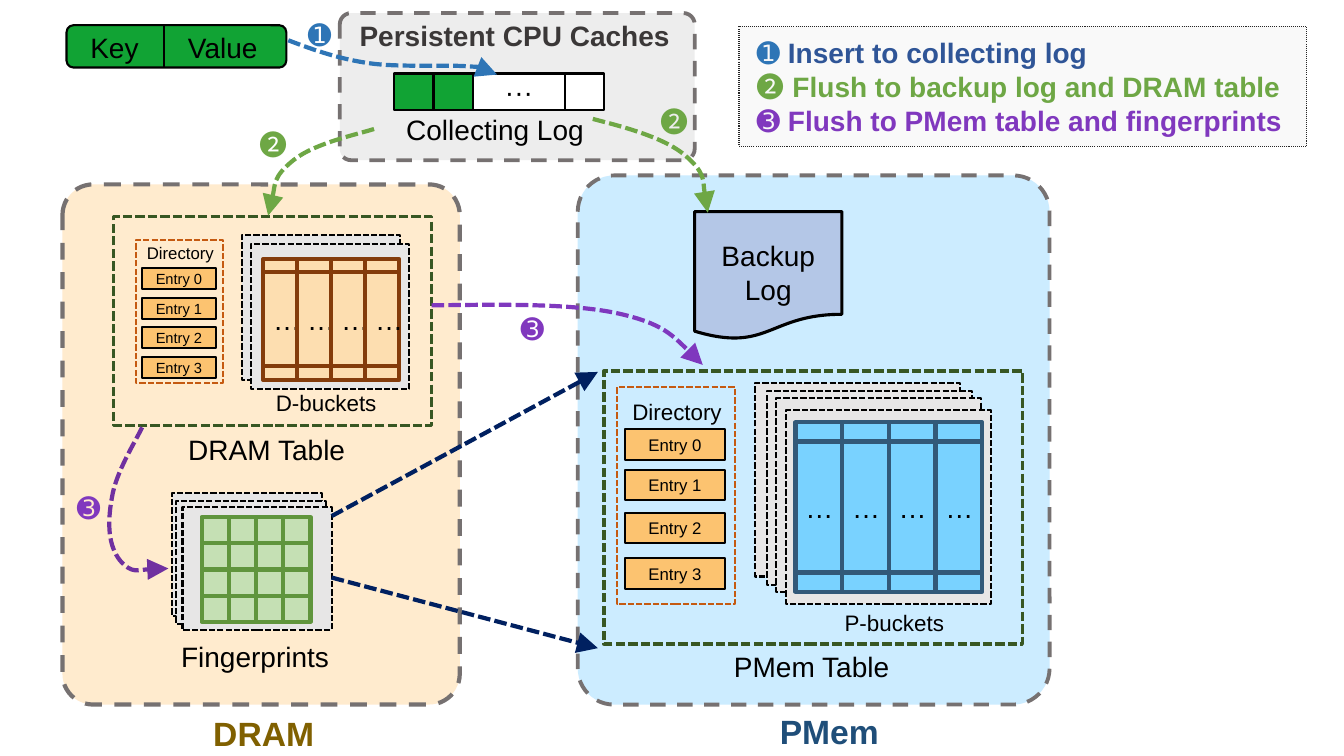
from lxml.etree import SubElement
from pptx import Presentation
from pptx.dml.color import RGBColor
from pptx.enum.dml import MSO_LINE
from pptx.enum.shapes import MSO_CONNECTOR, MSO_SHAPE
from pptx.enum.text import MSO_ANCHOR, PP_ALIGN
from pptx.oxml.ns import qn
from pptx.util import Inches, Pt

COLS, ROWS = 133.3, 75
DASH, SHORT, DOT = MSO_LINE.DASH, MSO_LINE.SQUARE_DOT, MSO_LINE.ROUND_DOT
BLUE, GREEN, PURPLE, NAVY = "2E75B6", "6EA745", "8038BE", "002060"
CJK = "Noto Sans CJK SC"


def u(n):
    return Inches(n / 10)


def rgb(color):
    return RGBColor.from_string(color)


def inside(box, dx, dy, w, h):
    return box[0] + dx, box[1] + dy, w, h


def outline(sp, color, width, dash=None, arrow=False):
    sp.line.color.rgb = rgb(color)
    sp.line.width = Pt(width)
    if dash:
        sp.line.dash_style = dash
    if arrow:
        SubElement(sp.line._get_or_add_ln(), qn("a:tailEnd"), type="triangle", w="lg", len="lg")


def font(r, size, color="000000", bold=False, name="Arial"):
    r.font.size = Pt(size)
    r.font.color.rgb = rgb(color)
    r.font.bold = bold
    r.font.name = name


def write(sp, text, size, wrap=False, **look):
    tf = sp.text_frame
    tf.word_wrap = wrap
    tf.text = text
    p = tf.paragraphs[0]
    p.alignment = PP_ALIGN.CENTER
    font(p.runs[0], size, **look)


def label(s, box, text, size=20, **look):
    write(s.shapes.add_textbox(*map(u, box)), text, size, **look)


def shape(s, box, fill=None, line="000000", width=1.5, dash=None, kind=MSO_SHAPE.RECTANGLE):
    sp = s.shapes.add_shape(kind, *map(u, box))
    sp.shadow.inherit = False
    if fill:
        sp.fill.solid()
        sp.fill.fore_color.rgb = rgb(fill)
    else:
        sp.fill.background()
    outline(sp, line, width, dash)
    sp.text_frame.vertical_anchor = MSO_ANCHOR.MIDDLE
    return sp


def panel(s, box, fill, width=2.75):
    sp = shape(s, box, fill, "767171", width, DASH, MSO_SHAPE.ROUNDED_RECTANGLE)
    sp.adjustments[0] = 0.077


def straight(s, start, end, color="000000", width=1.5, dash=None, arrow=False):
    cn = s.shapes.add_connector(MSO_CONNECTOR.STRAIGHT, *map(u, start + end))
    outline(cn, color, width, dash, arrow)
    SubElement(cn._element.spPr, qn("a:effectLst"))


def curve(s, color, points):
    pts = [(u(x), u(y)) for x, y in points]
    fb = s.shapes.build_freeform(*pts[0])
    fb.add_line_segments(pts[1:], close=False)
    sp = fb.convert_to_shape()
    sp.shadow.inherit = False
    sp.fill.background()
    outline(sp, color, 3, SHORT, True)
    path = next(sp._element.iter(qn("a:path")))
    segments = path.findall(qn("a:lnTo"))
    for i, segment in enumerate(segments):
        if i % 3 == 0:
            bezier = SubElement(path, qn("a:cubicBezTo"))
        bezier.append(segment[0])
        path.remove(segment)


def stack(s, box, offsets):
    for dx, dy in offsets:
        shape(s, inside(box, dx, dy, *box[2:]), "E7E6E6", dash=SHORT)


def grid(s, box, heights, fill, line, dotted_row=None):
    w, y = box[2] / 4, 0
    for row, h in enumerate(heights):
        for col in range(4):
            sp = shape(s, inside(box, col * w, y, w, h), fill, line, 3)
            if row == dotted_row:
                write(sp, "…", 20, wrap=True)
        y += h


def directory(s, box, title, size, entry_box, tops, entry_size):
    shape(s, box, None, "C55A11", dash=SHORT)
    label(s, inside(box, *title), "Directory", size)
    dx, w, h = entry_box
    for i, top in enumerate(tops):
        write(shape(s, inside(box, dx, top, w, h), "FCC370"), f"Entry {i}", entry_size)


def key_value(s, box):
    x, y, w, h = box
    shape(s, box, "11A334", kind=MSO_SHAPE.ROUNDED_RECTANGLE)
    straight(s, (x + 9.7, y), (x + 9.7, y + h))
    label(s, inside(box, 1.3, 0, 6.9, 4.4), "Key")
    label(s, inside(box, 10.8, 0, 9.4, 4.4), "Value")


def caches(s, box):
    panel(s, box, "EDEDED")
    label(s, inside(box, 0, 0, 34.7, 4.4), "Persistent CPU Caches", color="3B3838", bold=True)
    x = 5.4
    for w, fill, text in ((3.9, "11A334", ""), (3.9, "11A334", ""),
                          (9.15, "FFFFFF", "···"), (3.9, "FFFFFF", "")):
        sp = shape(s, inside(box, x, 6, w, 3.6), fill)
        if text:
            write(sp, text, 20)
        x += w
    label(s, inside(box, 5.5, 9.4, 19.8, 4.4), "Collecting Log")


def dram(s, box):
    panel(s, box, "FFEBCE", 3)
    label(s, inside(box, 13.9, 51.9, 12.1, 5), "DRAM", 24, color="806000", bold=True)
    label(s, inside(box, 10.7, 44.7, 16.8, 4.4), "Fingerprints")
    label(s, inside(box, 11.3, 24.1, 17.9, 4.4), "DRAM Table")
    shape(s, inside(box, 5.1, 3.2, 31.5, 20.7), None, "385723", 2.25, SHORT)
    directory(s, inside(box, 7.3, 5.5, 8.6, 14.2), (-0.4, -0.2, 9.6, 3), 12,
              (0.6, 7.3, 2.1), [2.8 + 2.93 * i for i in range(4)], 10.5)
    stack(s, inside(box, 17.8, 5, 15.7, 14.4), ((0, 0), (0.9, 0.9)))
    grid(s, inside(box, 19.9, 7.4, 13.5, 12), (1.3, 9.3, 1.4), "FDDEB0", "843C0B", 1)
    label(s, inside(box, 19.4, 19.8, 13.5, 3.7), "D-buckets", 16)
    stack(s, inside(box, 10.9, 30.6, 14.8, 12.2), ((0, 0), (0.4, 0.8), (1, 1.4)))
    grid(s, inside(box, 13.8, 33, 10.8, 10.4), [2.6] * 4, "C5E0B4", "60953D")


def pmem(s, box):
    panel(s, box, "CCECFF")
    label(s, inside(box, 19, 52.6, 11.9, 5), "PMem", 24, color="1F4E79", bold=True)
    label(s, inside(box, 14.5, 46.5, 17.4, 4.4), "PMem Table")
    shape(s, inside(box, 11.6, 3.6, 14.6, 12.7), "B4C7E7", width=2.25,
          kind=MSO_SHAPE.FLOWCHART_DOCUMENT)
    label(s, inside(box, 12.8, 5.8, 12.2, 7.7), "Backup Log", wrap=True)
    shape(s, inside(box, 2.6, 19.4, 41.5, 27.1), None, "385723", 2.25, SHORT)
    directory(s, inside(box, 3.9, 21, 11.7, 21.5), (-0.6, 0.6, 13.1, 3.7), 16,
              (0.8, 9.9, 3), (4.2, 8.2, 12.5, 17), 12)
    stack(s, inside(box, 17.6, 20.6, 20.3, 19.2), ((0, 0), (1.2, 0.8), (2.1, 1.5), (3.1, 2.7)))
    grid(s, inside(box, 21.6, 24.5, 18.5, 16.8), (1.9, 13, 1.9), "79D2FF", "325979", 1)
    label(s, inside(box, 23.7, 42.5, 15.4, 3.7), "P-buckets", 16)


def legend(s, box):
    sp = shape(s, box, "F2F2F2", "262626", 0.75, DOT)
    SubElement(next(sp._element.spPr.iter(qn("a:srgbClr"))), qn("a:alpha"), val="44000")
    tf = sp.text_frame
    tf.word_wrap = True
    tf.margin_left = u(1.75)
    steps = (("➊", "Insert to collecting log", BLUE, "2F5597", "Arial"),
             ("➋", "Flush to backup log and DRAM table", GREEN, GREEN, CJK),
             ("➌", "Flush to PMem table and fingerprints", PURPLE, PURPLE, "Arial"))
    for i, (mark, text, mark_color, color, name) in enumerate(steps):
        p = tf.add_paragraph() if i else tf.paragraphs[0]
        p.alignment = PP_ALIGN.LEFT
        for part, tint, bold, face in ((mark, mark_color, False, name),
                                       (" " + text, color, True, "Arial")):
            r = p.add_run()
            r.text = part
            font(r, 20, tint, bold, face)


def flows(s, box):
    x, y = box[:2]
    for color, points in (
        (BLUE, ((28.6, 4), (31.2, 5), (33.8, 5.9), (36.8, 6.3), (39.8, 6.7), (44.5, 6.4),
                (46.6, 6.6), (48.7, 6.7), (49, 7.1), (49.3, 7.4))),
        (GREEN, ((37.1, 12.8), (35.6, 13.3), (31.2, 14.2), (29.1, 15.9),
                 (27, 17.6), (27, 20.3), (26.6, 21.4))),
        (GREEN, ((58.8, 11.8), (60.6, 12.3), (65.5, 13.4), (67.8, 15.3),
                 (70.1, 17.2), (69.9, 20), (70.2, 21.1))),
        ("7030A0", ((14.1, 42.4), (13.5, 43.7), (11.5, 46.8), (11.1, 49.4), (10.6, 52.1),
                    (10.8, 54.2), (11.9, 55.6), (13.1, 57), (15.8, 56.3), (16.7, 56.4))),
        ("7F38BE", ((42.8, 30.3), (49.8, 30.2), (56.8, 30.1), (61.3, 31.1),
                    (65.8, 32.1), (67.7, 34.2), (69.7, 36.2))),
    ):
        curve(s, color, [(x + px, y + py) for px, py in points])
    for start_y, end_y in ((51.2, 36.9), (57.3, 64.3)):
        straight(s, (x + 32.9, y + start_y), (x + 59.3, y + end_y), NAVY, 3, SHORT, True)
    for mark, dx, dy, color, name in (
        ("➊", 29.3, 1.2, BLUE, "Arial"), ("➋", 24.7, 12.2, GREEN, CJK),
        ("➋", 64.5, 9.9, GREEN, CJK), ("➌", 6.4, 48.2, PURPLE, "Arial"),
        ("➌", 50.4, 30.4, PURPLE, "Arial"),
    ):
        label(s, inside(box, dx, dy, 4.8, 4.4), mark, color=color, name=name)


prs = Presentation()
prs.slide_width, prs.slide_height = u(COLS), u(ROWS)
s = prs.slides.add_slide(prs.slide_layouts[6])
caches(s, (33.7, 1.3, 35.2, 14.6))
pmem(s, (57.3, 17.4, 46.8, 52.5))
dram(s, (6.2, 18.3, 39.4, 51.6))
key_value(s, (6.6, 2.5, 21.8, 4.2))
legend(s, (73.3, 2.6, 56.3, 11.9))
flows(s, (0, 0, COLS, ROWS))
prs.save("out.pptx")
